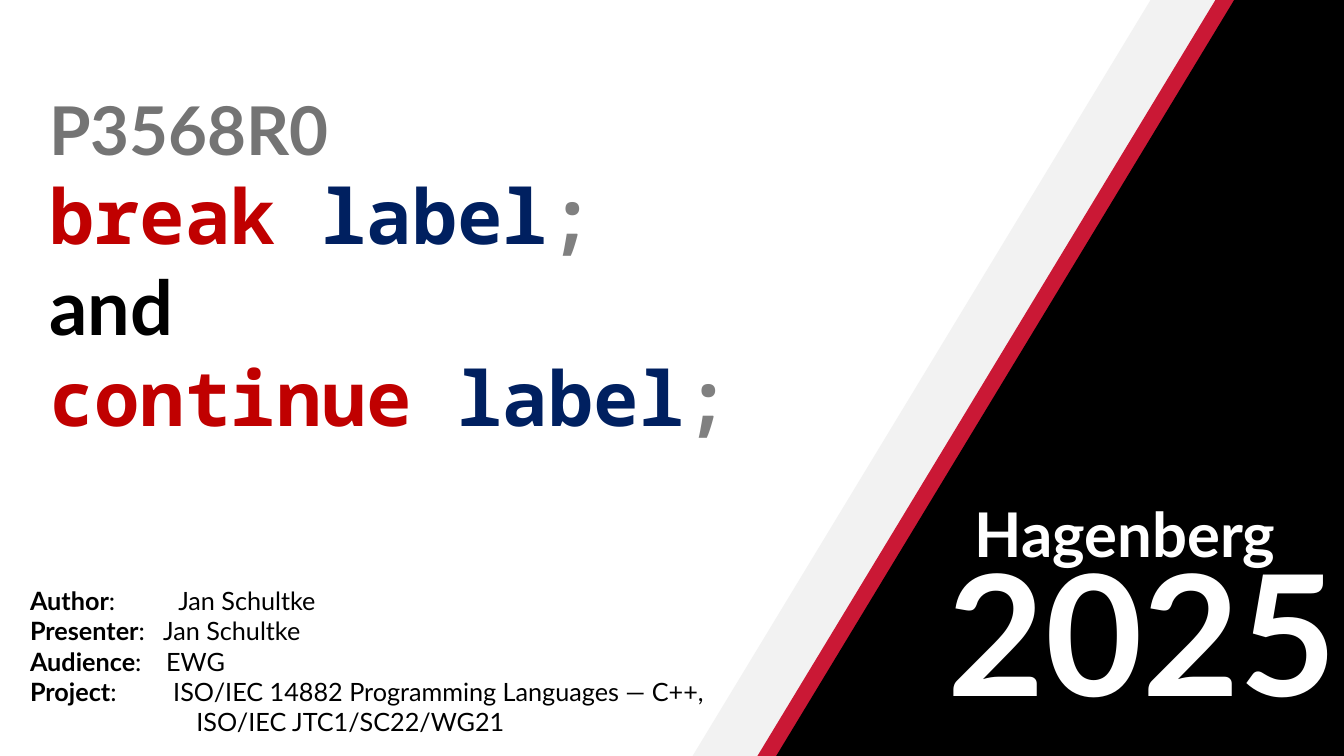
from lxml import etree
from pptx import Presentation, util as u
from pptx.dml.color import RGBColor
from pptx.enum import shapes, text
from pptx.oxml.ns import qn

COLORS = {
    "pale": "F2F2F2", "red": "CA1835", "black": "000000", "white": "FFFFFF",
    "number": "747474", "keyword": "C00000", "label": "002060", "semicolon": "808080",
}
SANS, MONO = "Lato", "Noto Sans Mono"


def color(name):
    return RGBColor.from_string(COLORS[name])


def add_text_frame(slide, box):
    frame = slide.shapes.add_textbox(*map(u.Inches, box)).text_frame
    frame.word_wrap = True
    frame.auto_size = text.MSO_AUTO_SIZE.SHAPE_TO_FIT_TEXT
    return frame


def add_line(frame, first):
    return frame.paragraphs[0] if first else frame.add_paragraph()


def add_run(line, words, size, ink="black", font=SANS, bold=True):
    run = line.add_run()
    run.text = words
    run.font.name, run.font.size, run.font.bold = font, u.Pt(size), bold
    run.font.color.rgb = color(ink)


def draw_bands(slide, size, bands):
    """Slanted bands; each later one covers most of the one before."""
    for left, top, fill in bands:
        band = slide.shapes.add_shape(
            shapes.MSO_SHAPE.RECTANGLE, *map(u.Inches, (left, top, *size)))
        band.rotation = 301.2
        band.shadow.inherit = False
        band.fill.solid()
        band.fill.fore_color.rgb = color(fill)
        band.line.fill.background()


def draw_title(slide, box):
    frame = add_text_frame(slide, box)
    add_run(add_line(frame, True), "P3568R0", 48, "number")

    def add_statement(keyword):
        line = add_line(frame, False)
        for words, ink in ((keyword + " ", "keyword"), ("label", "label"), (";", "semicolon")):
            add_run(line, words, 54, ink, MONO)

    add_statement("break")
    add_run(add_line(frame, False), "and", 54)
    add_statement("continue")


def draw_details(slide, box, details):
    """Rows of heading and value; the value starts at the row's own indent."""
    frame = add_text_frame(slide, box)
    for row, (heading, value, indent) in enumerate(details):
        line = add_line(frame, row == 0)
        properties = line._p.get_or_add_pPr()
        start = str(u.Inches(indent))
        if heading:
            tabs = etree.SubElement(properties, qn("a:tabLst"))
            etree.SubElement(tabs, qn("a:tab"), pos=start, algn="l")
            add_run(line, heading, 18)
            value = ":\t" + value
        else:
            properties.set("marL", start)
            properties.set("indent", "0")
        add_run(line, value, 18, bold=False)


def draw_meeting(slide, place_box, year_box):
    for box, words, size in ((place_box, "Hagenberg", 44), (year_box, "2025", 120)):
        add_run(add_line(add_text_frame(slide, box), True), words, size, "white")


def main():
    deck = Presentation()
    deck.slide_width, deck.slide_height = u.Inches(13.33), u.Inches(7.5)
    slide = deck.slides.add_slide(deck.slide_layouts[6])

    # Slanted background
    draw_bands(slide, (15.19, 9.47), (
        (5.57, 1.51, "pale"), (6.31, 1.35, "red"), (6.69, 1.03, "black")))

    # Paper number and title
    draw_title(slide, (0.39, 0.83, 10.67, 3.64))

    # Paper details
    draw_details(slide, (0.2, 5.76, 7.96, 1.62), (
        ("Author", "Jan Schultke", 1.47),
        ("Presenter", "Jan Schultke", 1.32),
        ("Audience", "EWG", 1.35),
        ("Project", "ISO/IEC 14882 Programming Languages — C++,", 1.42),
        ("", "ISO/IEC JTC1/SC22/WG21", 1.65)))

    # Meeting place and year
    draw_meeting(slide, (9.57, 4.87, 3.92, 0.84), (9.3, 5.19, 4.6, 2.12))

    deck.save("out.pptx")


if __name__ == "__main__":
    main()
